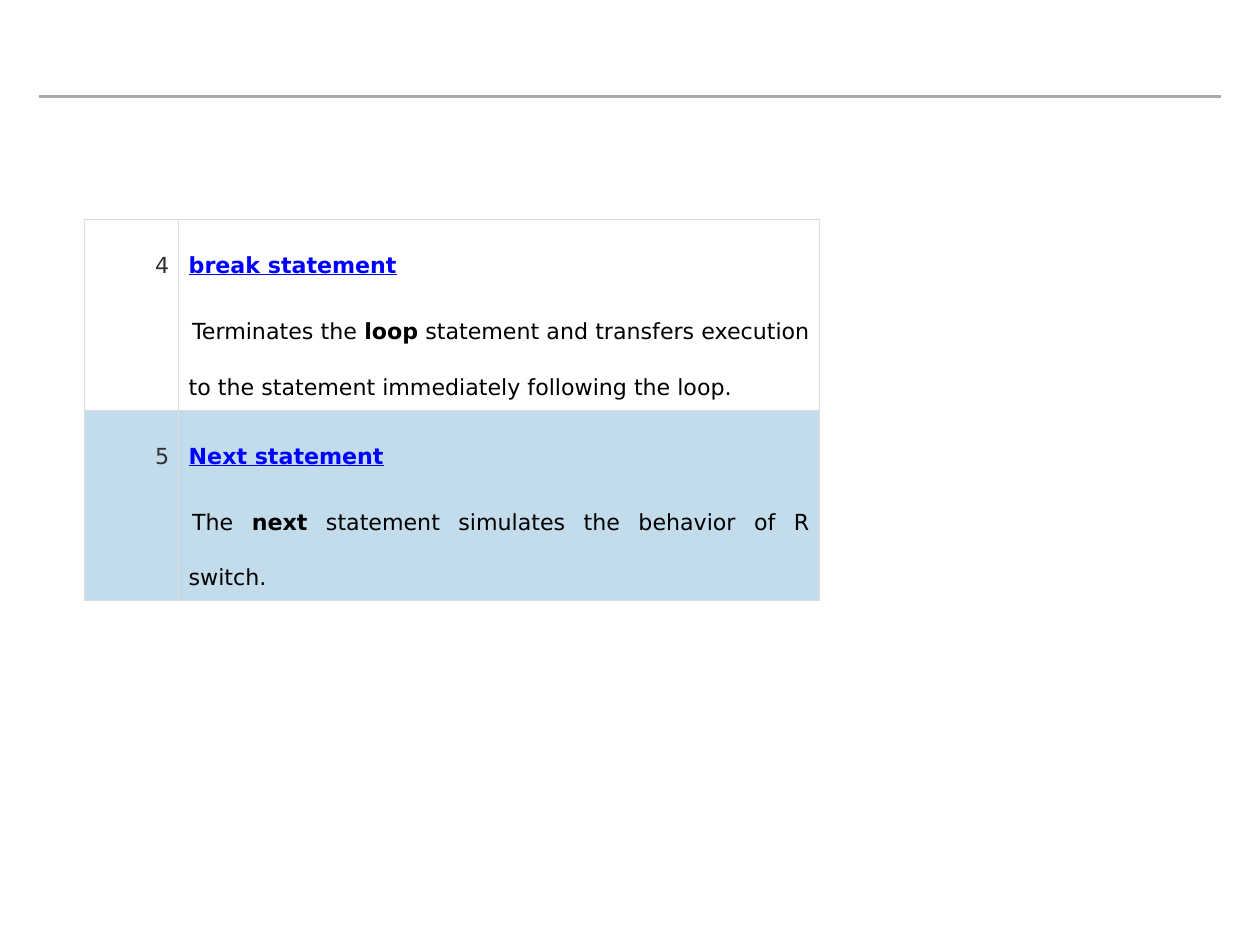
import lxml.etree
import pptx
import pptx.dml.color
import pptx.enum.shapes
import pptx.enum.text
import pptx.oxml
import pptx.oxml.ns
import pptx.util

Cm, Pt = pptx.util.Cm, pptx.util.Pt
Align = pptx.enum.text.PP_ALIGN
qn = pptx.oxml.ns.qn

HUES = {
    "rule": "A6AAA9",
    "edge": "DDDDDD",
    "band": "2E87BB",
    "count": "313131",
    "link": "0000FF",
    "text": "000000",
}

# Each row: heading, then the runs of its text as (words, bold)
ROWS = [
    ("break statement", [
        ("Terminates the ", False),
        ("loop", True),
        (" statement and transfers execution to the statement "
         "immediately following the loop.", False),
    ]),
    ("Next statement", [
        ("The ", False),
        ("next", True),
        (" statement simulates the behavior of R switch.", False),
    ]),
]


class Deck:
    font = "DejaVu Sans"
    size = Pt(18)
    inset = Cm(0.28)

    def __init__(self, slide):
        self.slide = slide

    def hue(self, name):
        return pptx.dml.color.RGBColor.from_string(HUES[name])

    def rule(self, left, right, top):
        line = self.slide.shapes.add_connector(
            pptx.enum.shapes.MSO_CONNECTOR.STRAIGHT,
            Cm(left), Cm(top), Cm(right), Cm(top))
        line.line.color.rgb = self.hue("rule")
        line.line.width = Pt(2)
        lxml.etree.SubElement(line._element.spPr, qn("a:effectLst"))

    def table(self, left, top, widths, height, count):
        table = self.slide.shapes.add_table(
            count, len(widths), Cm(left), Cm(top),
            Cm(sum(widths)), Cm(height * count)).table
        table.first_row = table.horz_banding = False
        for col, width in zip(table.columns, widths):
            col.width = Cm(width)
        for row in table.rows:
            row.height = Cm(height)
        return table

    def cell(self, cell, band):
        cell.margin_left = cell.margin_right = self.inset
        cell.margin_top = cell.margin_bottom = self.inset
        props = cell._tc.get_or_add_tcPr()
        for side in ("lnL", "lnR", "lnT", "lnB"):
            edge = lxml.etree.SubElement(props, qn("a:" + side), w=str(Pt(1)))
            fill = lxml.etree.SubElement(edge, qn("a:solidFill"))
            lxml.etree.SubElement(fill, qn("a:srgbClr"), val=HUES["edge"])
        if band:
            cell.fill.solid()
            cell.fill.fore_color.rgb = self.hue("band")
            tint = props.find(qn("a:solidFill")).find(qn("a:srgbClr"))
            lxml.etree.SubElement(tint, qn("a:alpha"), val="29000")
        else:
            cell.fill.background()

    def para(self, para, align, lead, before):
        para.alignment = align
        para.line_spacing = Pt(lead)
        para.space_before = Pt(before)
        return para

    def run(self, para, words, hue, bold=False, under=False):
        run = para.add_run()
        run.text = words
        run.font.name = self.font
        run.font.size = self.size
        run.font.color.rgb = self.hue(hue)
        run.font.bold = bold
        run.font.underline = under


def main():
    prs = pptx.Presentation()
    prs.slide_width, prs.slide_height = Cm(36.12), Cm(27.1)
    deck = Deck(prs.slides.add_slide(prs.slide_layouts[6]))

    # Header rule
    deck.rule(1.12, 35, 2.77)

    # Table of loop control statements
    table = deck.table(2.41, 6.3, [2.72, 18.36], 3.63, len(ROWS))
    for i, (head, runs) in enumerate(ROWS):
        count, body = table.cell(i, 0), table.cell(i, 1)
        for cell in (count, body):
            deck.cell(cell, band=i % 2 == 1)

        # Number
        para = deck.para(count.text_frame.paragraphs[0], Align.RIGHT, 40, 24)
        deck.run(para, str(i + 4), "count")

        # Heading
        para = deck.para(body.text_frame.paragraphs[0], Align.LEFT, 40, 24)
        deck.run(para, head, "link", bold=True, under=True)

        # Description with a small first-line indent
        para = deck.para(body.text_frame.add_paragraph(), Align.JUSTIFY, 45, 9)
        para._p.get_or_add_pPr().set("indent", str(Cm(0.1)))
        for words, bold in runs:
            deck.run(para, words, "text", bold)

    prs.save("out.pptx")


if __name__ == "__main__":
    main()
